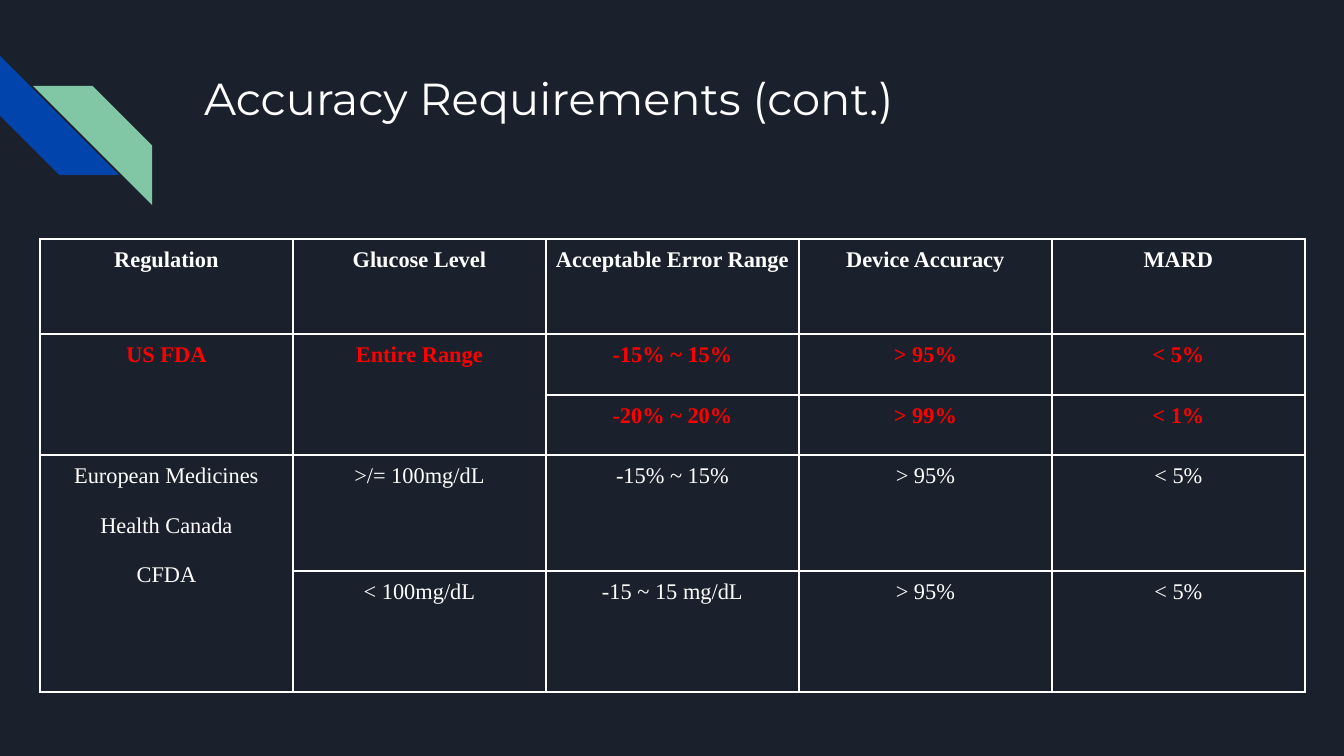
import pptx
import pptx.util
import pptx.dml.color
import pptx.enum.shapes
import pptx.enum.text
import pptx.oxml

tint = {"back": "1B212C", "blue": "0145AC", "green": "82C7A5",
        "white": "FFFFFF", "red": "FF0000"}
align = pptx.enum.text.PP_ALIGN


def px(*sizes):
    return [pptx.util.Emu(round(size * 914400 / 134.4)) for size in sizes]


def write(para, text, font, size, color, bold=False):
    run = para.add_run()
    run.text = text
    run.font.name = font
    run.font.size = pptx.util.Pt(size)
    run.font.bold = bold
    run.font.color.rgb = pptx.dml.color.RGBColor.from_string(tint[color])


deck = pptx.Presentation()
deck.slide_width, deck.slide_height = px(1344, 756)
slide = deck.slides.add_slide(deck.slide_layouts[5])
slide.background.fill.solid()
slide.background.fill.fore_color.rgb = pptx.dml.color.RGBColor.from_string(tint["back"])

for left, top, turn, color in [(0, 56, 270, "blue"), (33, 86, 90, "green")]:
    stripe = slide.shapes.add_shape(
        pptx.enum.shapes.MSO_SHAPE.DIAGONAL_STRIPE, *px(left, top, 119, 119))
    stripe.rotation = turn
    stripe.shadow.inherit = False
    stripe.fill.solid()
    stripe.fill.fore_color.rgb = pptx.dml.color.RGBColor.from_string(tint[color])
    stripe.line.fill.background()

title = slide.shapes.title
title.left, title.top, title.width, title.height = px(191, 58, 1035, 134)
frame = title.text_frame
frame.word_wrap = True
frame.auto_size = pptx.enum.text.MSO_AUTO_SIZE.NONE
frame.vertical_anchor = pptx.enum.text.MSO_ANCHOR.TOP
frame.margin_left, frame.margin_top, frame.margin_right, frame.margin_bottom = px(13, 13, 13, 13)
frame.paragraphs[0].alignment = align.LEFT
write(frame.paragraphs[0], "Accuracy Requirements (cont.)", "Montserrat", 24, "white")

rows = [
    ["Regulation", "Glucose Level", "Acceptable Error Range", "Device Accuracy", "MARD"],
    ["US FDA", "Entire Range", "-15% ~ 15%", "> 95%", "< 5%"],
    ["", "", "-20% ~ 20%", "> 99%", "< 1%"],
    ["European Medicines\nHealth Canada\nCFDA", ">/= 100mg/dL", "-15% ~ 15%", "> 95%", "< 5%"],
    ["", "< 100mg/dL", "-15 ~ 15 mg/dL", "> 95%", "< 5%"],
]
looks = [("white", True), ("red", True), ("red", True), ("white", False), ("white", False)]
highs = [95, 61, 60, 116, 121]
wide = 253

grid = slide.shapes.add_table(
    len(rows), len(rows[0]), *px(40, 239, wide * len(rows[0]), sum(highs))).table
grid.first_row = False
grid.horz_banding = False
for col in grid.columns:
    col.width = px(wide)[0]
for row, high in zip(grid.rows, highs):
    row.height = px(high)[0]

for y, (texts, (color, bold)) in enumerate(zip(rows, looks)):
    for x, text in enumerate(texts):
        cell = grid.cell(y, x)
        cell.margin_left, cell.margin_top, cell.margin_right, cell.margin_bottom = px(9, 9, 9, 9)
        props = cell._tc.get_or_add_tcPr()
        for side in "LRTB":
            props.append(pptx.oxml.parse_xml(
                f'<a:ln{side} xmlns:a="http://schemas.openxmlformats.org/drawingml/2006/main" '
                f'w="12700"><a:solidFill><a:srgbClr val="{tint["white"]}"/></a:solidFill></a:ln{side}>'))
        cell.fill.background()
        for spot, line in enumerate(text.split("\n") if text else []):
            para = cell.text_frame.add_paragraph() if spot else cell.text_frame.paragraphs[0]
            para.alignment = align.CENTER
            para.space_before = pptx.util.Pt(13.25 if spot else 0)
            write(para, line, "Times New Roman", 12, color, bold)

for y, x in [(1, 0), (1, 1), (3, 0)]:
    grid.cell(y, x).merge(grid.cell(y + 1, x))

deck.save("out.pptx")
